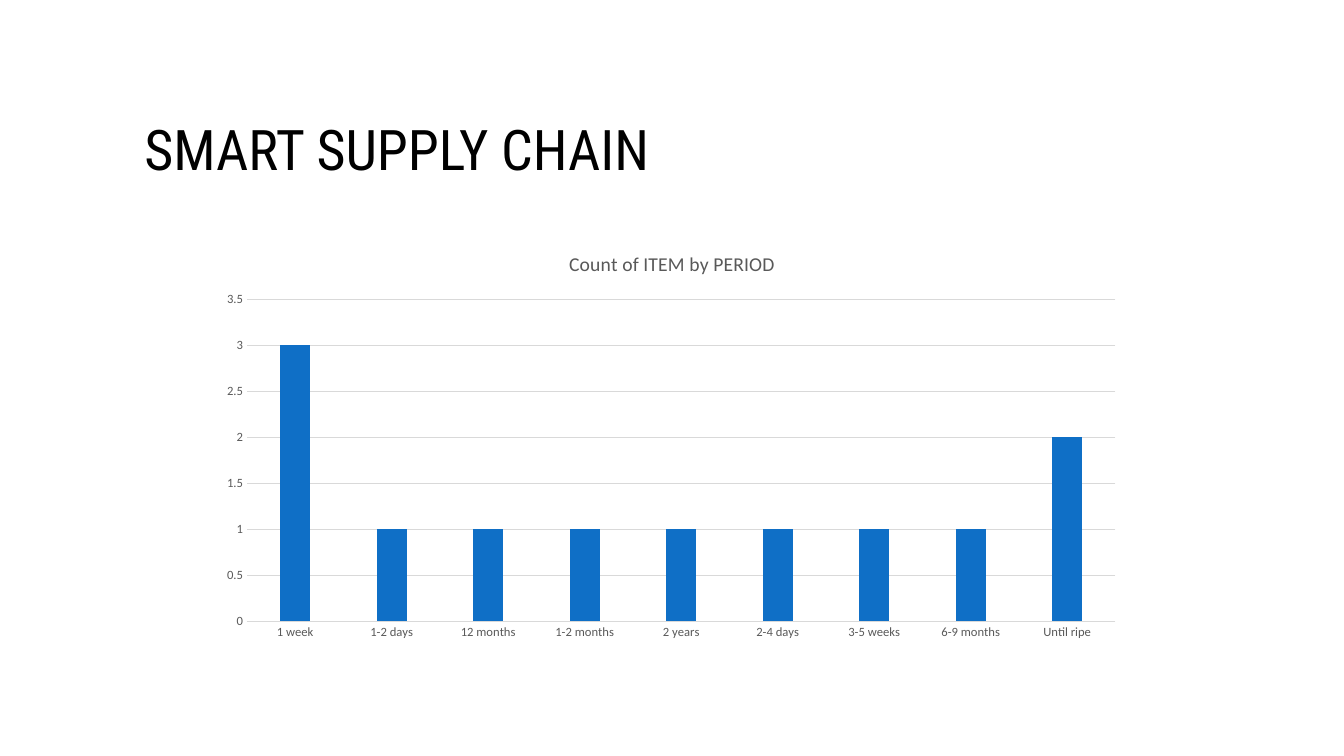
from lxml import etree
from pptx import Presentation
from pptx import util as u
from pptx.chart.data import CategoryChartData
from pptx.dml.color import RGBColor
from pptx.enum import chart as ch
from pptx.oxml import ns

COLORS = {"ink": "000000", "label": "595959", "rule": "D9D9D9", "bar": "0F6FC6"}
PERIODS = {
    "1 week": 3, "1-2 days": 1, "12 months": 1, "1-2 months": 1, "2 years": 1,
    "2-4 days": 1, "3-5 weeks": 1, "6-9 months": 1, "Until ripe": 2,
}


def style_font(font, name, size, color):
    """Set the typeface, size and colour of a font."""
    font.name, font.size, font.bold = name, u.Pt(size), False
    font.color.rgb = RGBColor.from_string(COLORS[color])


def style_line(line):
    """Draw a line as a thin grey rule."""
    line.color.rgb = RGBColor.from_string(COLORS["rule"])
    line.width = u.Pt(0.75)


def place_plot(chart, **fractions):
    """Fix the inner plot area as fractions of the chart frame."""
    area = chart.plots[0]._element.getparent()
    for old in area.findall(ns.qn("c:layout")):
        area.remove(old)
    layout = etree.Element(ns.qn("c:layout"))
    area.insert(0, layout)
    manual = etree.SubElement(layout, ns.qn("c:manualLayout"))
    settings = {"layoutTarget": "inner", "xMode": "edge", "yMode": "edge", **fractions}
    for tag, value in settings.items():
        etree.SubElement(manual, ns.qn(f"c:{tag}")).set("val", str(value))


def add_heading(s, left, top, width, height):
    """Place the slide heading in the given box."""
    tf = s.shapes.add_textbox(*map(u.Pt, (left, top, width, height))).text_frame
    tf.word_wrap = True
    p = tf.paragraphs[0]
    p.text = "SMART SUPPLY CHAIN"
    style_font(p.runs[0].font, "Roboto Condensed", 40, "ink")


def add_period_chart(s, left, top, width, height):
    """Place the column chart of item counts in the given box."""
    data = CategoryChartData()
    data.categories = PERIODS.keys()
    data.add_series("Series 1", PERIODS.values())
    box = map(u.Pt, (left, top, width, height))
    chart = s.shapes.add_chart(ch.XL_CHART_TYPE.COLUMN_CLUSTERED, *box, data).chart
    style_font(chart.font, "Calibri", 10, "ink")
    chart.has_legend = False
    chart.has_title = True
    p = chart.chart_title.text_frame.paragraphs[0]
    p.text = "Count of ITEM by PERIOD"
    style_font(p.runs[0].font, "Calibri", 14, "label")
    chart.chart_title.include_in_layout = False

    plot = chart.plots[0]
    plot.gap_width, plot.overlap, plot.vary_by_categories = 219, -27, False
    fill = plot.series[0].format.fill
    fill.solid()
    fill.fore_color.rgb = RGBColor.from_string(COLORS["bar"])

    for axis in (chart.category_axis, chart.value_axis):
        axis.major_tick_mark = axis.minor_tick_mark = ch.XL_TICK_MARK.NONE
        style_font(axis.tick_labels.font, "Calibri", 9, "label")
    style_line(chart.category_axis.format.line)
    values = chart.value_axis
    values.minimum_scale, values.maximum_scale, values.major_unit = 0, 3.5, 0.5
    values.format.line.fill.background()
    values.has_major_gridlines = True
    style_line(values.major_gridlines.format.line)
    place_plot(chart, x=0.04, y=0.16, w=0.94, h=0.78)


def main():
    """Build the slide and save it."""
    prs = Presentation()
    prs.slide_width, prs.slide_height = u.Pt(960), u.Pt(540)
    s = prs.slides.add_slide(prs.slide_layouts[6])
    add_heading(s, 96, 78, 447, 55.5)
    add_period_chart(s, 150, 166.5, 660, 295)
    prs.save("out.pptx")


if __name__ == "__main__":
    main()
